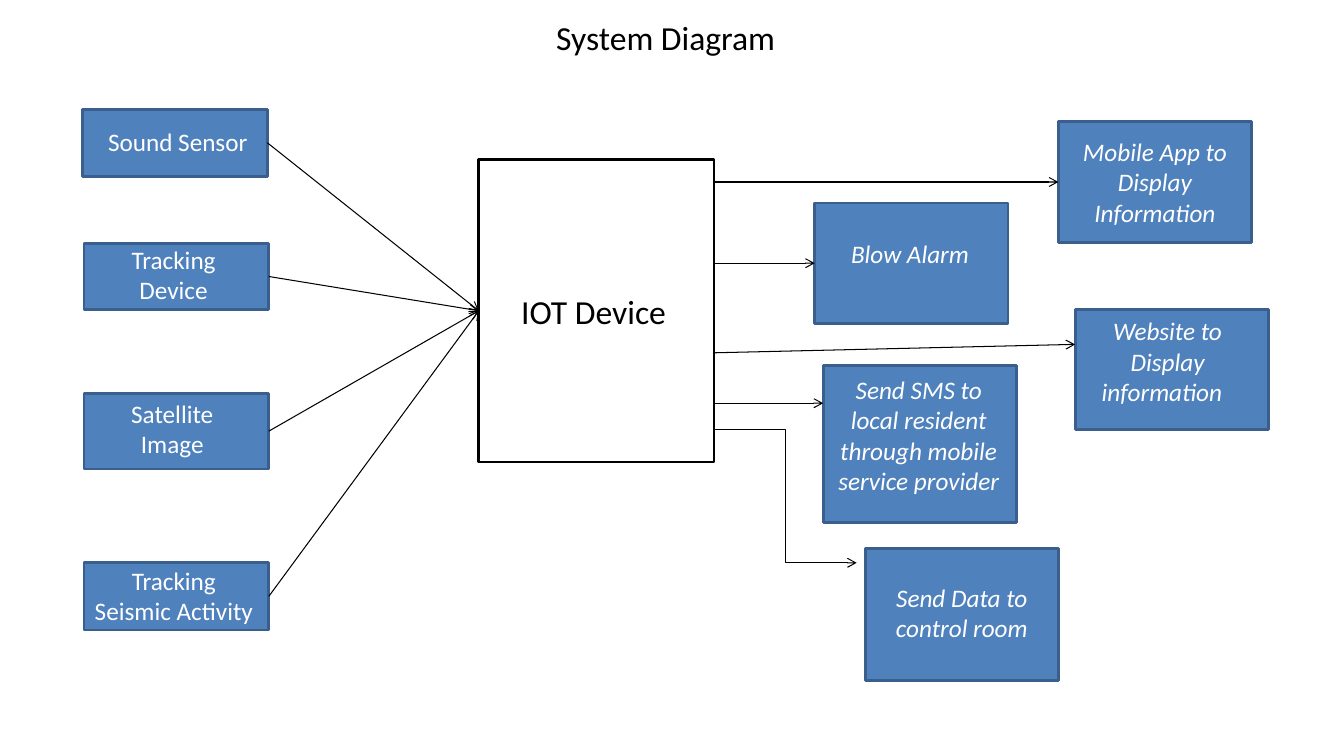
import pptx
import pptx.util
import pptx.dml.color
import pptx.enum.shapes
import pptx.enum.text
import pptx.oxml

Pt = pptx.util.Pt
Color = pptx.dml.color.RGBColor.from_string
RECTANGLE = pptx.enum.shapes.MSO_SHAPE.RECTANGLE
CONNECTOR = pptx.enum.shapes.MSO_CONNECTOR
DRAWING = 'xmlns:a="http://schemas.openxmlformats.org/drawingml/2006/main"'

theme = {
    "font": "Calibri",
    "black": Color("000000"),
    "white": Color("FFFFFF"),
    "blue": Color("4F81BD"),
    "border": Color("3A5F8C"),
    "heading": Pt(24),
    "label": Pt(18),
    "outline": Pt(2),
    "arrow": Pt(0.75),
}

presentation = pptx.Presentation()
presentation.slide_width = Pt(960)
presentation.slide_height = Pt(540)
slide = presentation.slides.add_slide(presentation.slide_layouts[6])


def add_box(place, fill, border):
    shape = slide.shapes.add_shape(RECTANGLE, *map(Pt, place))
    shape.shadow.inherit = False
    shape.fill.solid()
    shape.fill.fore_color.rgb = theme[fill]
    shape.line.color.rgb = theme[border]
    shape.line.width = theme["outline"]
    return shape


def add_text(place, lines, size, color, italic=False):
    frame = slide.shapes.add_textbox(*map(Pt, place)).text_frame
    frame.word_wrap = True
    frame.text = "\n".join(lines)
    font_format = {"name": theme["font"], "size": theme[size], "italic": italic}
    for paragraph in frame.paragraphs:
        paragraph.alignment = pptx.enum.text.PP_ALIGN.CENTER
        for run in paragraph.runs:
            for name, value in font_format.items():
                setattr(run.font, name, value)
            run.font.color.rgb = theme[color]
    return frame


title = add_text((19, 12, 913, 29), ["System Diagram"], "heading", "black")
for side in ("left", "right", "top", "bottom"):
    setattr(title, f"margin_{side}", 0)

device = add_box((342, 114, 168, 216), "white", "black")
device_right = 510
add_text((358, 204, 132, 36), ["IOT Device"], "heading", "black")

sensors = [
    ((59, 78, 132, 48), (62, 87, 126, 29), " Sound Sensor"),
    ((60, 174, 132, 47), (64, 171, 120, 51), "Tracking Device"),
    ((60, 281, 132, 54), (63, 281, 120, 51), "Satellite Image"),
    ((60, 402, 132, 48), (60, 400, 128.4, 51), "Tracking Seismic Activity"),
]
outputs = [
    ((756, 87, 138, 86), (756, 94, 138, 73), ["Mobile App to", "Display Information"]),
    ((582, 145, 138, 86), (590, 167, 120, 29), ["Blow Alarm"]),
    ((768, 221, 138, 86), (774, 222, 120, 94), ["Website to", "Display information  "]),
    ((588, 261, 138, 112), (591, 264, 130.5, 94),
     ["Send SMS to local resident through mobile service provider"]),
    ((618, 392, 138, 94), (627, 412.5, 120, 51), ["Send Data to control room"]),
]

connectors = []
for box_place, text_place, label in sensors:
    box = add_box(box_place, "blue", "border")
    add_text(text_place, [label], "label", "white")
    connector = slide.shapes.add_connector(CONNECTOR.STRAIGHT, 0, 0, 0, 0)
    connector.begin_connect(box, 3)
    connector.end_connect(device, 1)
    connectors.append(connector)

output_boxes = []
for box_place, text_place, lines in outputs:
    output_boxes.append(add_box(box_place, "blue", "border"))
    add_text(text_place, lines, "label", "white", italic=True)

mobile_box, alarm_box = output_boxes[:2]
output_arrows = [
    (CONNECTOR.STRAIGHT, 130, 756, 130, mobile_box),
    (CONNECTOR.STRAIGHT, 188, 582, 188, alarm_box),
    (CONNECTOR.STRAIGHT, 252, 768, 246, None),
    (CONNECTOR.STRAIGHT, 288, 588, 288, None),
    (CONNECTOR.ELBOW, 306.5, 612, 402, None),
]
for kind, start_y, end_x, end_y, target in output_arrows:
    connector = slide.shapes.add_connector(
        kind, Pt(device_right), Pt(start_y), Pt(end_x), Pt(end_y))
    if target is not None:
        connector.end_connect(target, 1)
    connectors.append(connector)

for connector in connectors:
    connector.line.color.rgb = theme["black"]
    connector.line.width = theme["arrow"]
    properties = connector.element.spPr
    line = connector.line._get_or_add_ln()
    line.append(pptx.oxml.parse_xml(f'<a:tailEnd {DRAWING} type="arrow"/>'))
    properties.append(pptx.oxml.parse_xml(f"<a:effectLst {DRAWING}/>"))

presentation.save("out.pptx")
